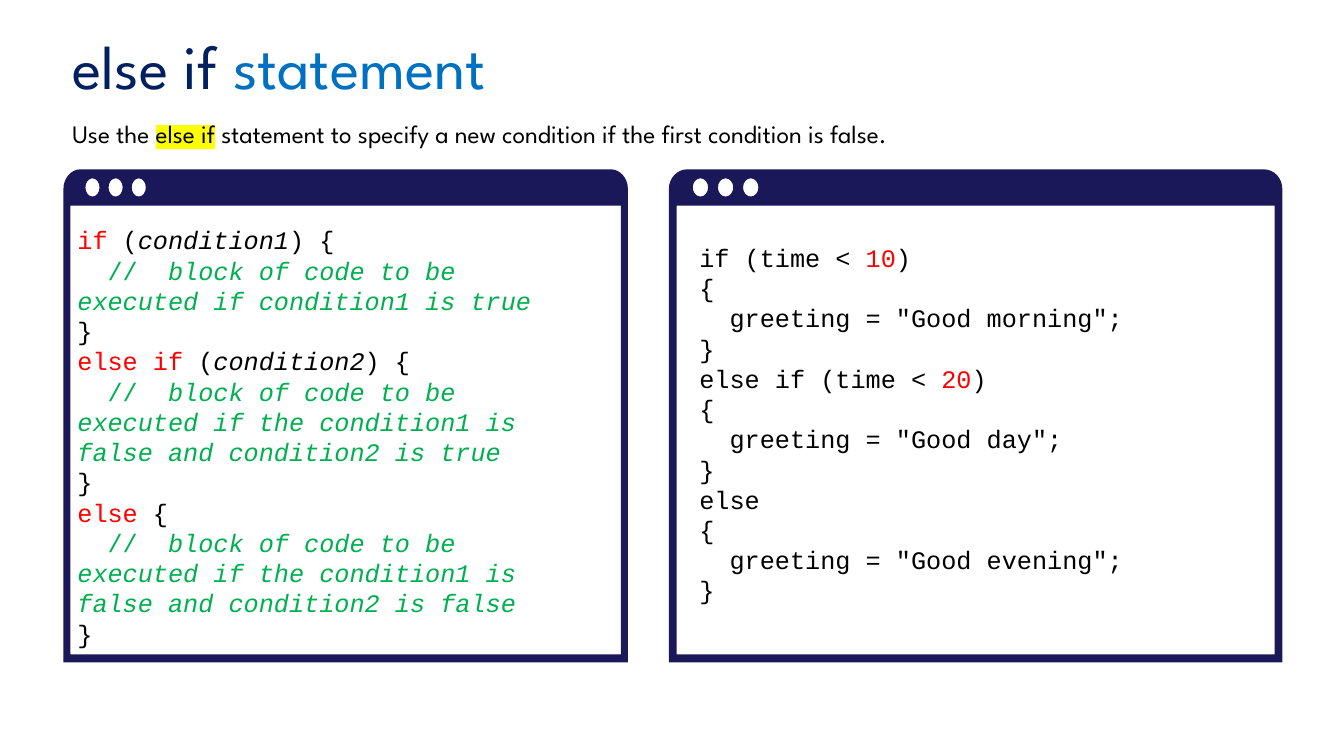
from dataclasses import dataclass
from typing import NamedTuple

from lxml.etree import SubElement
from pptx import Presentation
from pptx.dml.color import RGBColor
from pptx.enum.text import MSO_ANCHOR, MSO_AUTO_SIZE, PP_ALIGN
from pptx.oxml.ns import qn
from pptx.util import Inches, Pt

SLIDE_WIDTH, SLIDE_HEIGHT = Inches(40 / 3), Inches(7.5)
NAVY, BLUE, FRAME = "002060", "0070C0", "1B185A"
BLACK, RED, GREEN, YELLOW = "000000", "FF0000", "00B050", "FFFF00"
HEADING_FONT, CODE_FONT = "League Spartan", "Courier New"
ROUNDING = 0.55  # control point distance of a quarter ellipse, as a share of its radius

Point = tuple[float, float]
Segment = list[Point]  # one point for a line, three for a curve


class Area(NamedTuple):
    """A place on the slide, in percent of its width and height."""
    left: float
    top: float
    width: float
    height: float

    def lengths(self) -> tuple[int, int, int, int]:
        return (int(SLIDE_WIDTH * self.left / 100), int(SLIDE_HEIGHT * self.top / 100),
                int(SLIDE_WIDTH * self.width / 100), int(SLIDE_HEIGHT * self.height / 100))


class Span(NamedTuple):
    text: str
    color: str = BLACK
    italic: bool = False
    highlight: str = ""


@dataclass
class CodeWindow:
    frame: Area
    text_area: Area
    code: list[list[Span]]


def rgb(color: str) -> RGBColor:
    return RGBColor.from_string(color)


def quarter(start: Point, corner: Point, end: Point) -> Segment:
    """A quarter ellipse that bends towards the corner."""
    def toward_corner(point: Point) -> Point:
        return (point[0] + (corner[0] - point[0]) * ROUNDING,
                point[1] + (corner[1] - point[1]) * ROUNDING)
    return [toward_corner(start), toward_corner(end), end]


def ellipse(x: float, y: float, radius_x: float, radius_y: float) -> list[Segment]:
    left, right, top, bottom = x - radius_x, x + radius_x, y - radius_y, y + radius_y
    return [[(x, top)],
            quarter((x, top), (right, top), (right, y)),
            quarter((right, y), (right, bottom), (x, bottom)),
            quarter((x, bottom), (left, bottom), (left, y)),
            quarter((left, y), (left, top), (x, top))]


def bend_curves(shape, segments: list[Segment]) -> None:
    """Join the three straight steps of each curved segment into one curve."""
    steps = iter(list(shape._element.iter(qn("a:lnTo"))))
    for segment in segments:
        group = [next(steps) for _ in segment]
        if len(group) == 3:
            curve = group[0].makeelement(qn("a:cubicBezTo"))
            group[0].addprevious(curve)
            for step in group:
                curve.append(step[0])
                step.getparent().remove(step)


def add_window_frame(slide, area: Area) -> None:
    """Draw a browser-like frame whose pane and three dots are holes."""
    left, top, width, height = area.lengths()
    right, bottom = left + width, top + height
    corner_x, corner_y = 0.03 * width, 0.04 * height
    border_x, border_y, bar = 0.0125 * width, 0.016 * height, 0.0735 * height
    pane = [[(right - border_x, bottom - border_y)], [(left + border_x, bottom - border_y)],
            [(left + border_x, top + bar)], [(right - border_x, top + bar)]]
    dots = [ellipse(left + (0.0515 + 0.041 * index) * width, top + bar / 2,
                    0.0125 * width, 0.0185 * height) for index in range(3)]
    outline = [[(right, top + corner_y)],
               quarter((right, top + corner_y), (right, top), (right - corner_x, top)),
               [(left + corner_x, top)],
               quarter((left + corner_x, top), (left, top), (left, top + corner_y)),
               [(left, bottom)], [(right, bottom)]]
    contours = [pane, *dots, outline]
    builder = slide.shapes.build_freeform(*map(int, pane[0][0]))
    for number, (start, *segments) in enumerate(contours):
        if number:
            builder.move_to(*start[0])
        builder.add_line_segments([point for segment in segments for point in segment])
    shape = builder.convert_to_shape()
    bend_curves(shape, [segment for contour in contours for segment in contour[1:]])
    shape.shadow.inherit = False
    shape.fill.solid()
    shape.fill.fore_color.rgb = rgb(FRAME)
    shape.line.fill.background()


def add_span(paragraph, text: str, span: Span, font_format: dict) -> None:
    run = paragraph.add_run()
    run.text = text
    run.font.color.rgb = rgb(span.color)
    if span.highlight:
        highlight = SubElement(run.font._element, qn("a:highlight"))
        SubElement(highlight, qn("a:srgbClr"), val=span.highlight)
    for name, value in {**font_format, "italic": span.italic}.items():
        setattr(run.font, name, value)


def fill_text(shape, paragraphs: list[list[Span]], font_format: dict,
              frame_format: dict, line_spacing: float = 1.0) -> None:
    """Write the spans; a newline inside a span becomes a line break."""
    frame = shape.text_frame
    for name, value in {"word_wrap": True, **frame_format}.items():
        setattr(frame, name, value)
    for index, spans in enumerate(paragraphs):
        paragraph = frame.add_paragraph() if index else frame.paragraphs[0]
        paragraph.alignment = PP_ALIGN.LEFT
        paragraph.line_spacing = line_spacing
        for span in spans:
            for number, line in enumerate(span.text.split("\n")):
                if number:
                    paragraph.add_line_break()
                if line:
                    add_span(paragraph, line, span, font_format)


def branch(keyword: str, condition: str, comment: str) -> list[Span]:
    """One branch of the syntax template, with its condition if it has one."""
    head = ([Span(" ("), Span(condition, italic=True), Span(") {\n  ")]
            if condition else [Span(" {\n  ")])
    return [Span(keyword, RED), *head, Span("//", GREEN),
            Span(f"  block of code to be executed if {comment}\n", GREEN, True), Span("}")]


def greeting(time_of_day: str) -> list[Span]:
    return [Span(f'{{\n  greeting = "Good {time_of_day}";\n}}')]


TITLE = [[Span("else if ", NAVY), Span("statement", BLUE)]]
INTRO = [[Span("Use the "), Span("else if", highlight=YELLOW),
          Span(" statement to specify a new condition if the first condition is false.")]]
WINDOWS = [
    CodeWindow(Area(4.72, 22.4, 42, 65.2), Area(5.02, 29.07, 36.15, 57.87), [
        branch("if", "condition1", "condition1 is true"),
        branch("else if", "condition2", "the condition1 is false and condition2 is true"),
        branch("else", "", "the condition1 is false and condition2 is false"),
    ]),
    CodeWindow(Area(49.77, 22.4, 45.65, 65.2), Area(51.3, 31.38, 42.75, 49.87), [
        [Span("if (time < "), Span("10", RED), Span(")")],
        greeting("morning"),
        [Span("else if (time < "), Span("20", RED), Span(")")],
        greeting("day"),
        [Span("else")],
        greeting("evening"),
    ]),
]


def main() -> None:
    presentation = Presentation()
    presentation.slide_width, presentation.slide_height = SLIDE_WIDTH, SLIDE_HEIGHT
    slide = presentation.slides.add_slide(presentation.slide_layouts[5])

    title = slide.shapes.title
    title.left, title.top, title.width, title.height = Area(4.65, 3.8, 86.25, 10.67).lengths()
    fill_text(title, TITLE, {"name": HEADING_FONT, "size": Pt(44)},
              {"vertical_anchor": MSO_ANCHOR.MIDDLE, "auto_size": MSO_AUTO_SIZE.NONE}, 0.9)

    for window in WINDOWS:
        add_window_frame(slide, window.frame)
        code_box = slide.shapes.add_textbox(*window.text_area.lengths())
        fill_text(code_box, window.code, {"name": CODE_FONT, "size": Pt(18)},
                  {"auto_size": MSO_AUTO_SIZE.SHAPE_TO_FIT_TEXT})

    intro = slide.shapes.add_textbox(*Area(4.65, 14.93, 75.75, 5.33).lengths())
    fill_text(intro, INTRO, {"name": HEADING_FONT, "size": Pt(18)},
              {"vertical_anchor": MSO_ANCHOR.MIDDLE, "word_wrap": False,
               "auto_size": MSO_AUTO_SIZE.SHAPE_TO_FIT_TEXT})
    presentation.save("out.pptx")


if __name__ == "__main__":
    main()
